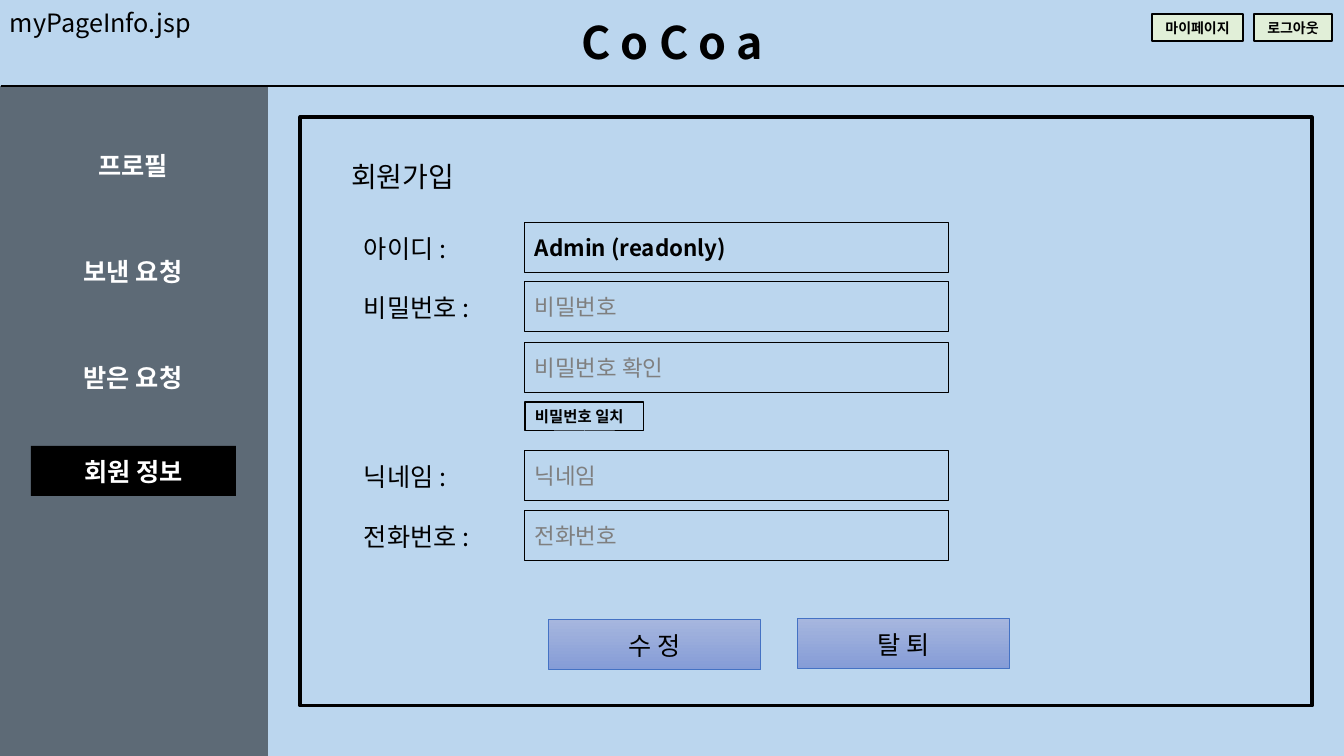
from lxml import etree
from pptx import Presentation
from pptx.dml.color import RGBColor
from pptx.enum.shapes import MSO_CONNECTOR, MSO_SHAPE
from pptx.enum.text import MSO_ANCHOR, MSO_AUTO_SIZE, PP_ALIGN
from pptx.oxml.ns import qn
from pptx.util import Pt

RECT = MSO_SHAPE.RECTANGLE
STRAIGHT = MSO_CONNECTOR.STRAIGHT
MIDDLE = MSO_ANCHOR.MIDDLE
NO_AUTOFIT = MSO_AUTO_SIZE.NONE
LEFT, CENTER = PP_ALIGN.LEFT, PP_ALIGN.CENTER

FONT = "Noto Sans CJK KR"
BLACK, WHITE, GREY = "000000", "FFFFFF", "7F7F7F"
SKY, MINT, BLUE = "BBD6EE", "E1EFD8", "4472C4"
BUTTON_GRADIENT = ("A6B6DE", "859CD7")
EMU_PER_PX = 914400 / 100.8


def px(n):
    return round(n * EMU_PER_PX)


def rgb(value):
    return RGBColor.from_string(value)


def write(shape, text, size, color=BLACK, bold=False, align=LEFT):
    """Put one formatted line, vertically centred, into a shape."""
    tf = shape.text_frame
    frame = {"word_wrap": True, "auto_size": NO_AUTOFIT, "vertical_anchor": MIDDLE,
             "margin_left": px(10), "margin_right": px(10),
             "margin_top": px(5), "margin_bottom": px(5)}
    for name, value in frame.items():
        setattr(tf, name, value)
    p = tf.paragraphs[0]
    p.alignment = align
    r = p.add_run()
    r.text = text
    for name, value in {"name": FONT, "size": Pt(size), "bold": bold}.items():
        setattr(r.font, name, value)
    r.font.color.rgb = rgb(color)
    etree.SubElement(r.font._element, qn("a:ea"), typeface=FONT)


def label(s, box, text, size, **style):
    write(s.shapes.add_textbox(*map(px, box)), text, size, **style)


def rect(s, box, fill=None, line=None, weight=0.75):
    """Rectangle with no fill, a solid fill or a two-colour gradient."""
    sp = s.shapes.add_shape(RECT, *map(px, box))
    sp.shadow.inherit = False
    if fill is None:
        sp.fill.background()
    elif isinstance(fill, tuple):
        sp.fill.gradient()
        sp.fill.gradient_angle = 270
        for stop, color in zip(sp.fill.gradient_stops, fill):
            stop.color.rgb = rgb(color)
    else:
        sp.fill.solid()
        sp.fill.fore_color.rgb = rgb(fill)
    if line is None:
        sp.line.fill.background()
    else:
        sp.line.color.rgb = rgb(line)
        sp.line.width = Pt(weight)
    return sp


def header(s):
    rule = s.shapes.add_connector(STRAIGHT, *map(px, (1, 86, 1344, 86)))
    rule.line.color.rgb = rgb(BLACK)
    rule.line.width = Pt(0.75)
    etree.SubElement(rule._element.spPr, qn("a:effectLst"))

    for x, w, text in ((1254, 78, "로그아웃"), (1152, 91, "마이페이지")):
        button = rect(s, (x, 14, w, 27), MINT, BLACK, 1)
        write(button, text, 10, bold=True, align=CENTER)

    title = s.shapes.title
    place = {"left": 509, "top": 9, "width": 327, "height": 65}
    for name, value in place.items():
        setattr(title, name, px(value))
    write(title, "C o C o a", 32, bold=True, align=CENTER)
    label(s, (0, 2, 222, 40), "myPageInfo.jsp", 18)


def sidebar(s):
    panel = rect(s, (0, 86, 268, 670), BLACK)
    color = panel.fill._xPr.find(".//" + qn("a:srgbClr"))
    etree.SubElement(color, qn("a:alpha"), val="50000")

    menu = {"size": 18, "color": WHITE, "bold": True, "align": CENTER}
    for i, text in enumerate(("프로필", "보낸 요청", "받은 요청")):
        label(s, (63, 140 + 106 * i, 140, 50), text, **menu)
    write(rect(s, (31, 446, 205, 50), BLACK), "회원 정보", **menu)


def form(s):
    rect(s, (300, 117, 1012, 589), line=BLACK, weight=2.25)
    label(s, (341, 154, 133, 44), "회원가입", 20)

    # Field rows: top, label, field text, text colour, bold
    rows = (
        (223, "아이디 :", "Admin (readonly)", BLACK, True),
        (282, "비밀번호 :", "비밀번호", GREY, False),
        (343, None, "비밀번호 확인", GREY, False),
        (451, "닉네임 :", "닉네임", GREY, False),
        (511, "전화번호 :", "전화번호", GREY, False),
    )
    for y, name, text, color, bold in rows:
        if name:
            label(s, (354, y + 5, 146, 40), name, 18)
        field = rect(s, (525, y, 424, 50), line=BLACK)
        write(field, text, 16, color=color, bold=bold)
    match = rect(s, (525, 402, 119, 29), line=BLACK)
    write(match, "비밀번호 일치", 11, bold=True)

    # Action buttons
    for x, y, text in ((549, 620, "수 정"), (798, 619, "탈 퇴")):
        button = rect(s, (x, y, 212, 50), BUTTON_GRADIENT, BLUE)
        write(button, text, 18, align=CENTER)


def main():
    prs = Presentation()
    prs.slide_width, prs.slide_height = px(1344), px(756)
    s = prs.slides.add_slide(prs.slide_layouts[5])
    s.background.fill.solid()
    s.background.fill.fore_color.rgb = rgb(SKY)
    header(s)
    sidebar(s)
    form(s)
    prs.save("out.pptx")


if __name__ == "__main__":
    main()
